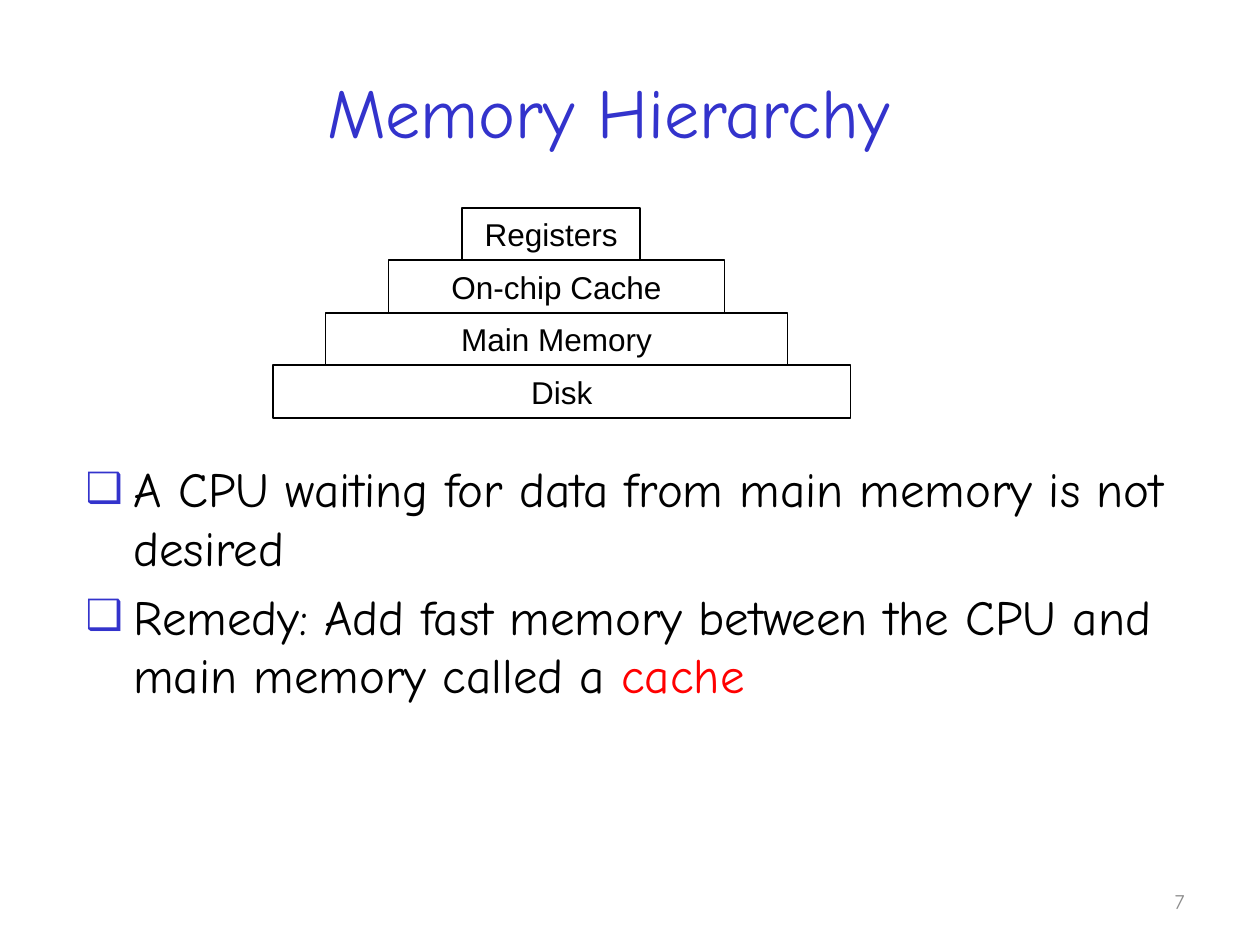
from lxml.etree import SubElement
from pptx import Presentation
from pptx.dml.color import RGBColor
from pptx.enum.shapes import MSO_SHAPE as Shape
from pptx.enum.text import MSO_ANCHOR as Anchor, MSO_AUTO_SIZE as AutoSize, PP_ALIGN as Align
from pptx.oxml.ns import qn
from pptx.util import Inches, Pt

BLUE = RGBColor(0x33, 0x33, 0xCC)
BLACK = RGBColor(0, 0, 0)
RED = RGBColor(0xFF, 0, 0)
GRAY = RGBColor(0x8C, 0x8C, 0x8C)
HAND_FONT = "Comic Neue"


def add_run(paragraph, text, size, color, font=HAND_FONT):
    run = paragraph.add_run()
    run.text = text
    run.font.size = Pt(size)
    run.font.name = font
    run.font.color.rgb = color


def place(shape, left, top, width, height):
    shape.left, shape.top = Inches(left), Inches(top)
    shape.width, shape.height = Inches(width), Inches(height)


presentation = Presentation()
presentation.slide_width, presentation.slide_height = Inches(10), Inches(7.5)
slide = presentation.slides.add_slide(presentation.slide_layouts[1])
title, body = slide.placeholders

# Title
place(title, 0.58, 0.25, 8.5, 1.25)
title.text_frame.auto_size = AutoSize.NONE
title.text_frame.vertical_anchor = Anchor.MIDDLE
paragraph = title.text_frame.paragraphs[0]
paragraph.alignment = Align.CENTER
add_run(paragraph, "Memory Hierarchy", 40, BLUE)

# Memory pyramid: 120 columns across the slide, levels stacked without gaps
COLUMN = presentation.slide_width / 120
LEVEL_HEIGHT = 5 * COLUMN
PYRAMID_TOP = presentation.slide_height * 0.22
levels = [
    ("Registers", 44, 17),
    ("On-chip Cache", 37, 32),
    ("Main Memory", 31, 44),
    ("Disk", 26, 55),
]
for row, (name, first_column, columns) in enumerate(levels):
    level = slide.shapes.add_shape(
        Shape.RECTANGLE,
        round(first_column * COLUMN), round(PYRAMID_TOP + row * LEVEL_HEIGHT),
        round(columns * COLUMN), round(LEVEL_HEIGHT))
    level.shadow.inherit = False
    level.fill.background()
    level.line.color.rgb = BLACK
    level.line.width = Pt(1)
    level.text_frame.word_wrap = False
    level.text_frame.vertical_anchor = Anchor.MIDDLE
    paragraph = level.text_frame.paragraphs[0]
    paragraph.alignment = Align.CENTER
    add_run(paragraph, name, 18, BLACK, "Arial")

# Bulleted list
place(body, 0.58, 3.59, 9.03, 3.24)
body.text_frame.auto_size = AutoSize.NONE
points = [
    [("A CPU waiting for data from main memory is not desired", BLACK)],
    [("Remedy: Add fast memory between the CPU and main memory called a ", BLACK),
     ("cache", RED)],
]
for index, runs in enumerate(points):
    paragraph = body.text_frame.add_paragraph() if index else body.text_frame.paragraphs[0]
    paragraph.space_before = Pt(5.6)
    properties = paragraph._p.get_or_add_pPr()
    properties.set("marL", str(Inches(0.38)))
    properties.set("indent", str(-Inches(0.38)))
    bullet_color = SubElement(properties, qn("a:buClr"))
    SubElement(bullet_color, qn("a:srgbClr"), val=str(BLUE))
    SubElement(properties, qn("a:buSzPct"), val="85000")
    SubElement(properties, qn("a:buFont"), typeface="Arial")
    SubElement(properties, qn("a:buChar"), char="❑")
    for text, color in runs:
        add_run(paragraph, text, 28, color)

# Page number
page_number = slide.shapes.add_textbox(Inches(7.17), Inches(6.95), Inches(2.33), Inches(0.4))
page_number.text_frame.word_wrap = True
page_number.text_frame.vertical_anchor = Anchor.MIDDLE
paragraph = page_number.text_frame.paragraphs[0]
paragraph.alignment = Align.RIGHT
add_run(paragraph, "7", 12, GRAY)

presentation.save("out.pptx")
